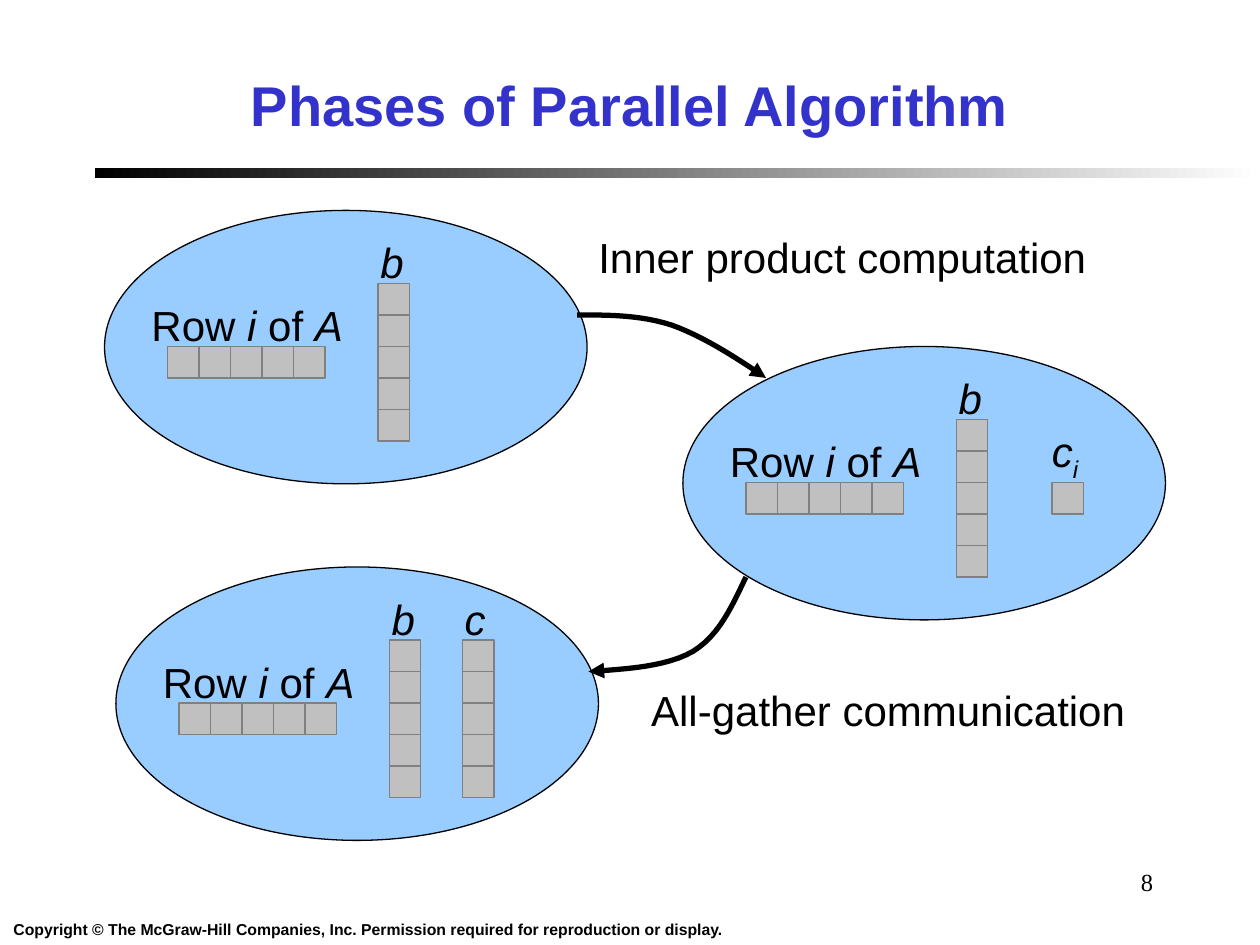
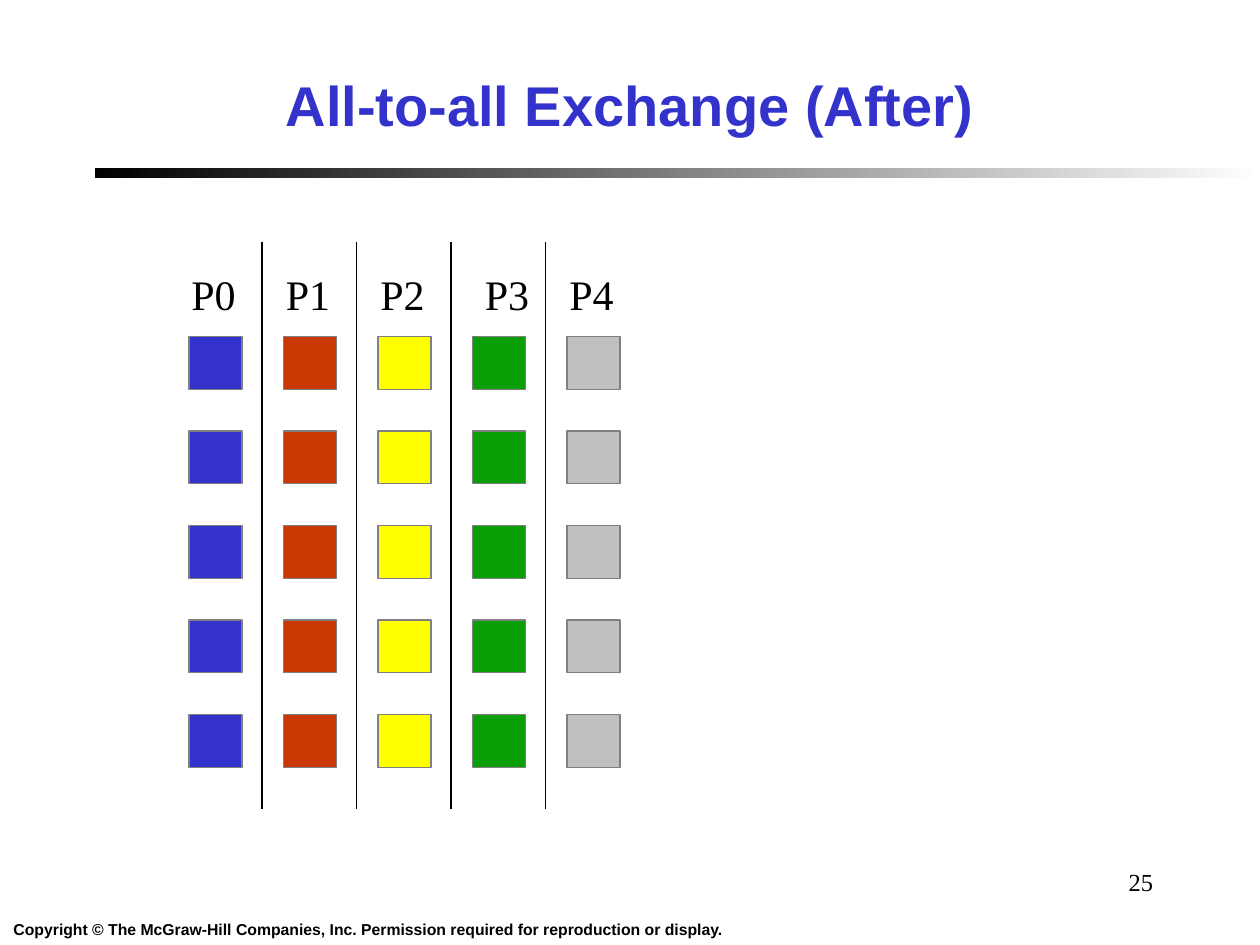
from lxml.etree import SubElement
from pptx import Presentation
from pptx.dml.color import RGBColor
from pptx.enum.shapes import MSO_CONNECTOR as Link, MSO_SHAPE as Form
from pptx.enum.text import MSO_ANCHOR as Anchor, PP_ALIGN as Align
from pptx.oxml.ns import qn
from pptx.util import Inches, Pt

BLACK, BLUE, SKY = "000000", "3333CC", "99CCFF"
SILVER, GREY = "C0C0C0", "808080"
SANS, SERIF = "Arial", "Times New Roman"
CELL = 0.25


def paint(item, fill=None, line=None, width=0.75):
    """Set fill and line from hex strings, None meaning no paint."""
    item.shadow.inherit = False
    for part, tint in ((item.fill, fill), (item.line.fill, line)):
        if tint:
            part.solid()
            part.fore_color.rgb = RGBColor.from_string(tint)
        else:
            part.background()
    if line:
        item.line.width = Pt(width)


def write(box, text, size=24, font=SANS, color=BLACK, bold=False,
          align=Align.LEFT, wrap=False):
    """Fill a box; text is a string or a list of (text, style) runs.

    Style "i" is italic, "is" is italic subscript.
    """
    frame = box.text_frame
    frame.word_wrap = wrap
    para = frame.paragraphs[0]
    para.alignment = align
    runs = [(text, "")] if isinstance(text, str) else text
    for words, style in runs:
        run = para.add_run()
        run.text = words
        run.font.size, run.font.name = Pt(size), font
        run.font.bold, run.font.italic = bold, "i" in style
        run.font.color.rgb = RGBColor.from_string(color)
        if "s" in style:
            run._r.get_or_add_rPr().set("baseline", "-25000")


deck = Presentation()
deck.slide_width, deck.slide_height = Inches(10), Inches(7.5)

# Shared frame: title, fading rule, copyright line and page number
pages = []
for title, number in (("Phases of Parallel Algorithm", "8"),
                      ("All-to-all Exchange (After)", "25")):
    shapes = deck.slides.add_slide(deck.slide_layouts[5]).shapes
    pages.append(shapes)

    rule = shapes.add_shape(Form.RECTANGLE, Inches(0.75), Inches(1.33),
                            Inches(9.25), Inches(0.08))
    paint(rule)
    rule.fill.gradient()
    rule.fill.gradient_angle = 0
    for stop, tint in zip(rule.fill.gradient_stops, (BLACK, "FFFFFF")):
        stop.color.rgb = RGBColor.from_string(tint)

    head = shapes.title
    head.left, head.top = Inches(0.25), Inches(0.33)
    head.width, head.height = Inches(9.5), Inches(1)
    head.text_frame.vertical_anchor = Anchor.MIDDLE
    write(head, title, size=32, color=BLUE, bold=True,
          align=Align.CENTER, wrap=True)

    note = shapes.add_textbox(0, Inches(7.25), Inches(5.84), Inches(0.25))
    write(note, "Copyright © The McGraw-Hill Companies, Inc. "
          "Permission required for reproduction or display.",
          size=9, bold=True, align=Align.CENTER)

    page = shapes.add_textbox(Inches(7.17), Inches(6.83),
                              Inches(2.08), Inches(0.5))
    write(page, number, size=14, font=SERIF, align=Align.RIGHT, wrap=True)

phases, swap = pages

# Phases: each oval holds row i of A, vector b and what has been computed.
# Block: offset in the oval, cells across, cells down
row, b_col = (0.5, 1.08, 5, 1), (2.17, 0.58, 1, 5)
c_cell, c_col = (2.93, 1.08, 1, 1), (2.75, 0.58, 1, 5)
# Label: offset in the oval, width, runs, alignment
row_tag = (0.27, 0.66, 1.72,
           [("Row ", ""), ("i", "i"), (" of ", ""), ("A", "i")], Align.RIGHT)
b_tag = (2.09, 0.16, 0.38, [("b", "i")], Align.LEFT)
ci_tag = (2.83, 0.58, 0.41, [("c", "i"), ("i", "is")], Align.LEFT)
c_tag = (2.67, 0.16, 0.36, [("c", "i")], Align.LEFT)

for left, top, blocks, tags in (
        (0.83, 1.67, [], []),
        (5.42, 2.75, [c_cell], [ci_tag]),
        (0.92, 4.5, [c_col], [c_tag])):
    oval = phases.add_shape(Form.OVAL, Inches(left), Inches(top),
                            Inches(3.83), Inches(2.17))
    paint(oval, SKY, BLACK)
    for x, y, across, down in [row, b_col] + blocks:
        for i in range(across):
            for j in range(down):
                cell = phases.add_shape(
                    Form.RECTANGLE, Inches(left + x + i * CELL),
                    Inches(top + y + j * CELL), Inches(CELL), Inches(CELL))
                paint(cell, SILVER, GREY)
    for x, y, width, runs, align in [row_tag, b_tag] + tags:
        tag = phases.add_textbox(Inches(left + x), Inches(top + y),
                                 Inches(width), Inches(0.5))
        write(tag, runs, align=align)

# Curved arrows: a start, then two Bezier pieces of three points each
STEPS = 12
for curve in (
        [(4.58, 2.5), (4.83, 2.5), (5.08, 2.5), (5.33, 2.58),
         (5.58, 2.67), (5.83, 2.83), (6.08, 3)],
        [(5.92, 4.58), (5.81, 4.81), (5.71, 5.04), (5.5, 5.17),
         (5.29, 5.29), (4.98, 5.31), (4.67, 5.33)]):
    dots = []
    for k in (0, 3):
        for n in range(1, STEPS + 1):
            t = n / STEPS
            mix = ((1 - t) ** 3, 3 * t * (1 - t) ** 2,
                   3 * t * t * (1 - t), t ** 3)
            dots.append([Inches(sum(m * p[axis] for m, p
                                    in zip(mix, curve[k:k + 4])))
                         for axis in (0, 1)])
    path = phases.build_freeform(*map(Inches, curve[0]))
    path.add_line_segments(dots, close=False)
    arrow = path.convert_to_shape()
    paint(arrow, line=BLACK, width=3)
    SubElement(arrow.element.spPr.find(qn("a:ln")), qn("a:tailEnd"),
               type="triangle")

for x, y, width, step in ((4.65, 1.79, 4.07, "Inner product computation"),
                          (5.07, 5.38, 3.96, "All-gather communication")):
    label = phases.add_textbox(Inches(x), Inches(y), Inches(width), Inches(0.5))
    write(label, step)

# Exchange: one column of equal blocks per process
PITCH = 0.75
for n, tint in enumerate((BLUE, "C93703", "FFFF00", "0A9E06", SILVER)):
    x = 1.5 + n * PITCH
    for k in range(5):
        block = swap.add_shape(Form.RECTANGLE, Inches(x),
                               Inches(2.67 + k * PITCH),
                               Inches(0.42), Inches(0.42))
        paint(block, tint, GREY)
    shift = 0 if n == 3 else -0.08
    name = swap.add_textbox(Inches(x + shift), Inches(2.08),
                            Inches(0.55), Inches(0.5))
    write(name, f"P{n}", font=SERIF)
    if n:
        edge = Inches(x - 0.17)
        wall = swap.add_connector(Link.STRAIGHT, edge, Inches(1.92),
                                  edge, Inches(6.42))
        wall.line.color.rgb = RGBColor.from_string(BLACK)
        wall.line.width = Pt(0.75)
        SubElement(wall.element.spPr, qn("a:effectLst"))

deck.save("out.pptx")
